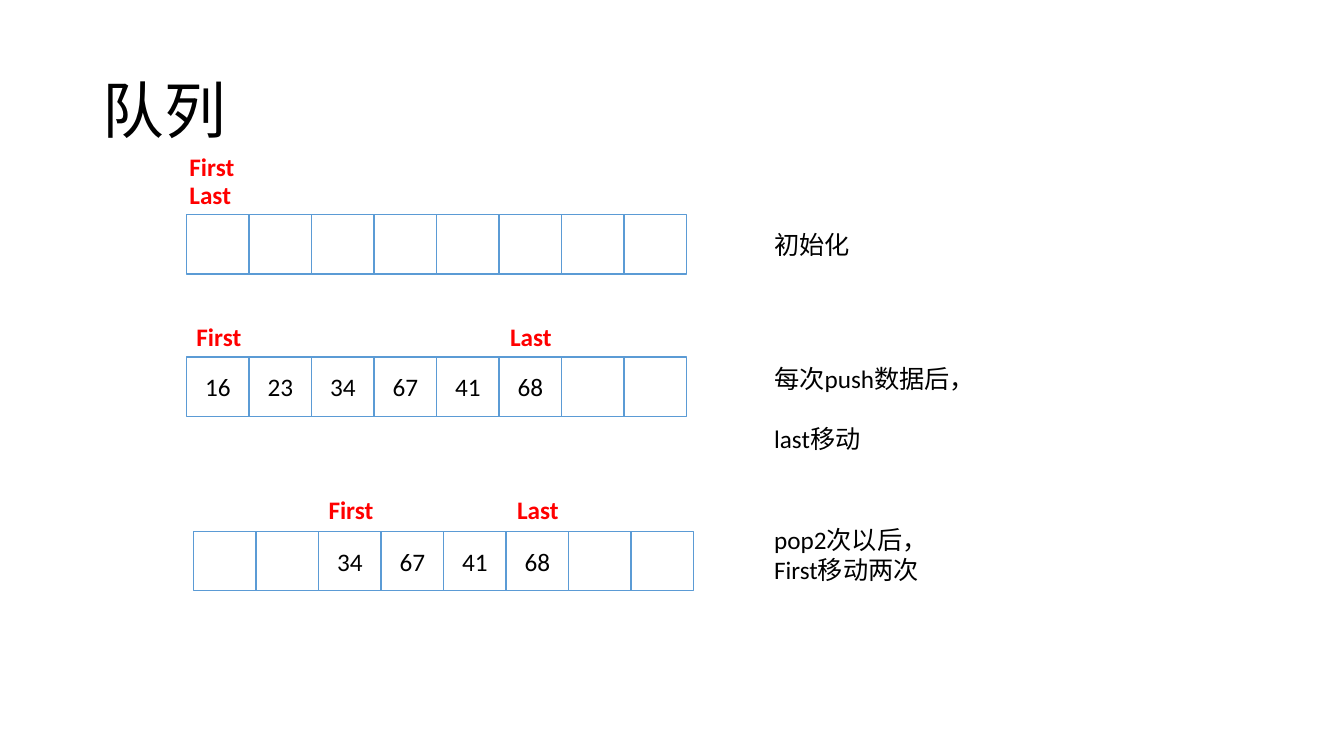
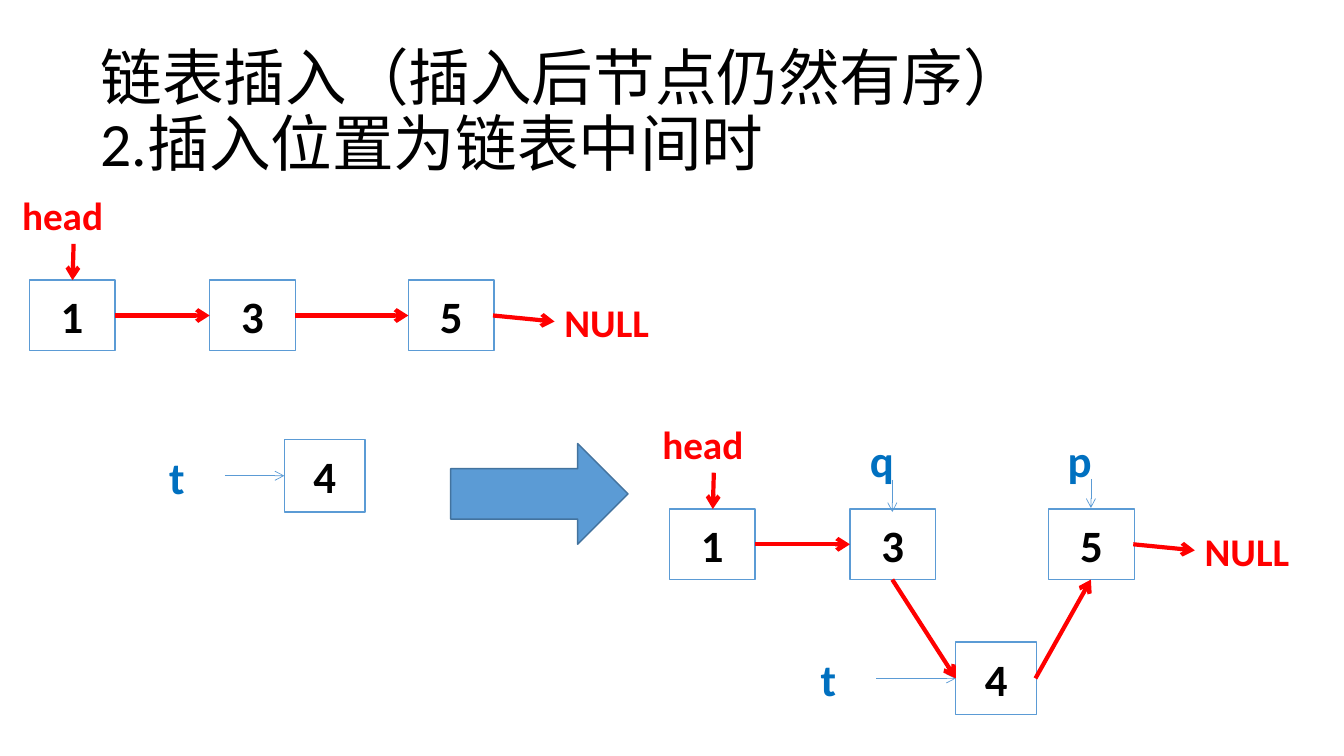
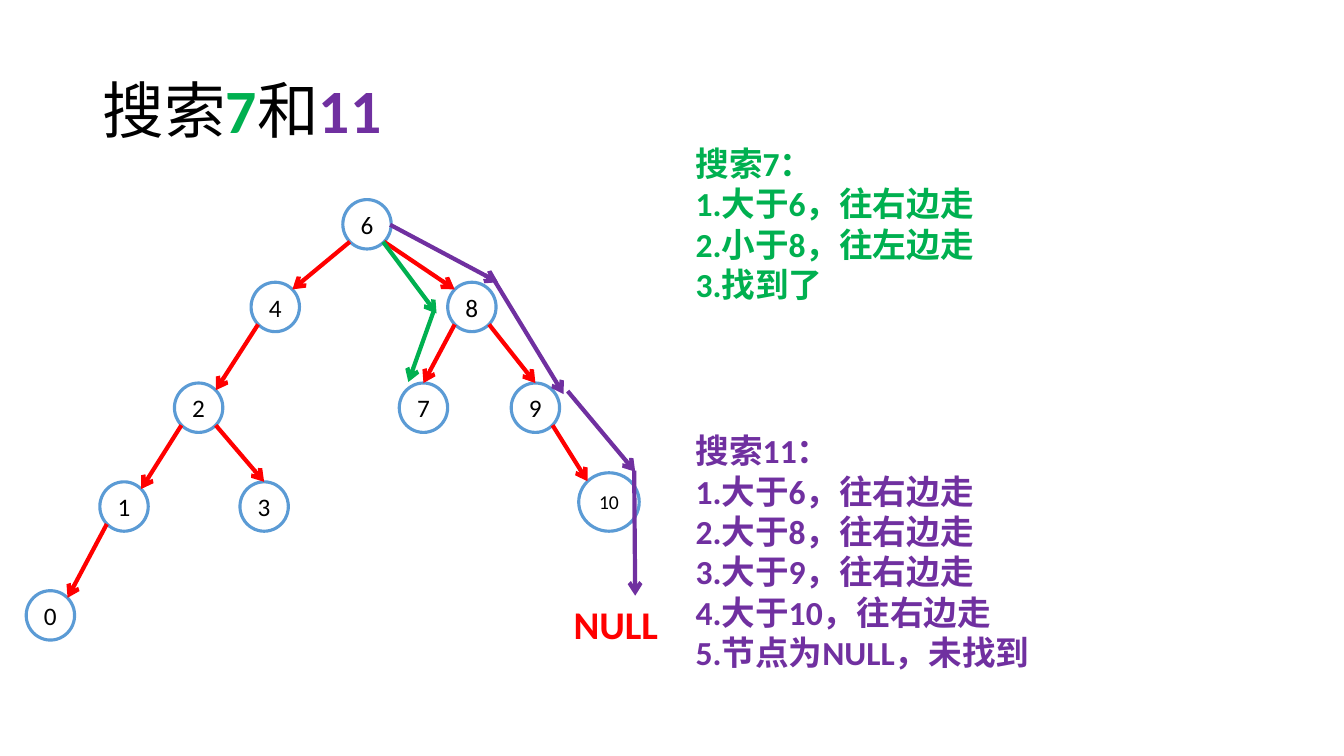
"""Three slides on queues, linked-list insertion and binary search trees."""
from pptx import Presentation
from pptx.dml.color import RGBColor
from pptx.enum.shapes import MSO_CONNECTOR, MSO_SHAPE
from pptx.enum.text import MSO_ANCHOR, MSO_AUTO_SIZE, PP_ALIGN
from pptx.oxml.ns import qn
from pptx.util import Inches, Pt
from lxml import etree

BLACK = RGBColor(0x00, 0x00, 0x00)
WHITE = RGBColor(0xFF, 0xFF, 0xFF)
RED = RGBColor(0xFF, 0x00, 0x00)
GREEN = RGBColor(0x00, 0xB0, 0x50)
PURPLE = RGBColor(0x70, 0x30, 0xA0)
LABEL_BLUE = RGBColor(0x00, 0x70, 0xC0)
BLUE = RGBColor(0x5B, 0x9B, 0xD5)
DARK_BLUE = RGBColor(0x43, 0x73, 0x9E)
FONT = "Calibri"
STRAIGHT = MSO_CONNECTOR.STRAIGHT
RECT, OVAL, RIGHT_ARROW = MSO_SHAPE.RECTANGLE, MSO_SHAPE.OVAL, MSO_SHAPE.RIGHT_ARROW
TOP, MIDDLE = MSO_ANCHOR.TOP, MSO_ANCHOR.MIDDLE
LEFT, CENTER = PP_ALIGN.LEFT, PP_ALIGN.CENTER
GROW = MSO_AUTO_SIZE.SHAPE_TO_FIT_TEXT

DIAGONAL = 0.71
NW, NE = (-DIAGONAL, -DIAGONAL), (DIAGONAL, -DIAGONAL)
SW, SE = (-DIAGONAL, DIAGONAL), (DIAGONAL, DIAGONAL)
NORTH = (0, -1)


def write(tf, paragraphs, size=18, color=BLACK, bold=False, align=LEFT,
          anchor=TOP, spacing=1.0):
    tf.word_wrap = True
    tf.vertical_anchor = anchor
    for i, runs in enumerate(paragraphs):
        p = tf.add_paragraph() if i else tf.paragraphs[0]
        p.alignment = align
        p.line_spacing = spacing
        if isinstance(runs, str):
            runs = [(runs, color, bold)]
        for text, run_color, run_bold in runs:
            for j, line in enumerate(text.split("\n")):
                if j:
                    p.add_line_break()
                r = p.add_run()
                r.text = line
                r.font.name = FONT
                r.font.size = Pt(size)
                r.font.color.rgb = run_color
                r.font.bold = run_bold


class Deck:
    def __init__(self):
        self.prs = Presentation()
        self.prs.slide_width = Inches(13.33)
        self.prs.slide_height = Inches(7.5)
        self.s = None

    def slide(self, title, left=0.92):
        self.s = self.prs.slides.add_slide(self.prs.slide_layouts[6])
        sp = self.s.shapes.add_textbox(Inches(left), Inches(0.4), Inches(11.5), Inches(1.45))
        write(sp.text_frame, [title], size=44, anchor=MIDDLE, spacing=0.9)

    def text(self, left, top, width, height, *paragraphs, **style):
        sp = self.s.shapes.add_textbox(Inches(left), Inches(top), Inches(width), Inches(height))
        write(sp.text_frame, paragraphs, **style)
        sp.text_frame.auto_size = GROW

    def shape(self, kind, left, top, width, height, text="", fill=WHITE,
              line=BLUE, weight=1, **style):
        sp = self.s.shapes.add_shape(kind, Inches(left), Inches(top), Inches(width), Inches(height))
        sp.shadow.inherit = False
        sp.fill.solid()
        sp.fill.fore_color.rgb = fill
        sp.line.color.rgb = line
        sp.line.width = Pt(weight)
        if text:
            write(sp.text_frame, [text], align=CENTER, anchor=MIDDLE, **style)

    def arrow(self, x1, y1, x2, y2, color=RED, weight=3):
        c = self.s.shapes.add_connector(STRAIGHT, Inches(x1), Inches(y1), Inches(x2), Inches(y2))
        c.line.color.rgb = color
        c.line.width = Pt(weight)
        etree.SubElement(c.line._get_or_add_ln(), qn("a:tailEnd"), type="arrow")
        etree.SubElement(c._element.spPr, qn("a:effectLst"))

    def thin_arrow(self, x1, y1, x2, y2):
        self.arrow(x1, y1, x2, y2, color=BLUE, weight=0.5)

    def queue(self, left, top, values):
        for i, value in enumerate(values):
            self.shape(RECT, left + i * 0.62, top, 0.62, 0.59, value)

    def marker(self, left, top, text):
        self.text(left, top, 0.69, 0.4, text, color=RED, bold=True)

    def end_label(self, left, top, text):
        self.text(left, top, 1.22, 0.57, text, size=28, color=RED, bold=True)

    def pointer(self, left, top, text):
        self.text(left, top, 0.65, 0.64, text, size=32, color=LABEL_BLUE, bold=True)

    def linked_list(self, left, top, linked):
        offsets = (0, 1.79, 3.76)
        middle = top + 0.35
        for offset, value in zip(offsets, "135"):
            self.shape(RECT, left + offset, top, 0.85, 0.7, value, size=32, bold=True)
        for start, end in list(zip(offsets, offsets[1:]))[:linked]:
            self.arrow(left + start + 0.85, middle, left + end, middle)
        self.end_label(left - 0.17, top - 0.93, "head")
        self.arrow(left + 0.44, top - 0.36, left + 0.43, top)
        self.end_label(left + 5.21, top + 0.13, "NULL")
        self.arrow(left + 4.6, middle, left + 5.21, middle + 0.06)

    def new_node(self, left, top, label_left):
        self.shape(RECT, left, top, 0.8, 0.72, "4", size=32, bold=True)
        self.pointer(label_left, top + 0.05, "t")
        self.thin_arrow(label_left + 0.65, top + 0.36, left, top + 0.36)

    def tree(self, nodes, edges):
        for value, (left, top, width, height, size) in nodes.items():
            self.shape(OVAL, left, top, width, height, value, weight=2.25, size=size)
        for parent, leave, child, enter in edges:
            ends = []
            for value, (dx, dy) in ((parent, leave), (child, enter)):
                left, top, width, height, _ = nodes[value]
                ends += [left + width / 2 * (1 + dx), top + height / 2 * (1 + dy)]
            self.arrow(*ends)


def queue_slide(deck):
    deck.slide("队列")
    deck.queue(1.85, 2.13, [""] * 8)
    deck.queue(1.85, 3.54, ["16", "23", "34", "67", "41", "68", "", ""])
    deck.queue(1.92, 5.27, ["", "", "34", "67", "41", "68", "", ""])
    for left, top, text in ((1.78, 1.45, "First"), (1.78, 1.73, "Last"),
                            (1.85, 3.14, "First"), (4.96, 3.14, "Last"),
                            (3.16, 4.86, "First"), (5.03, 4.86, "Last")):
        deck.marker(left, top, text)
    deck.text(7.58, 2.23, 1.51, 0.4, "初始化")
    deck.text(7.58, 3.55, 1.99, 0.71, "每次push数据后，\nlast移动")
    deck.text(7.58, 5.15, 1.99, 0.71, "pop2次以后，\nFirst移动两次")


def insertion_slide(deck):
    deck.slide("链表插入（插入后节点仍然有序）\n2.插入位置为链表中间时", left=0.9)
    deck.linked_list(0.29, 2.78, linked=2)
    deck.new_node(2.82, 4.36, label_left=1.58)
    deck.shape(RIGHT_ARROW, 4.47, 4.4, 1.76, 1, fill=BLUE, line=DARK_BLUE)
    deck.linked_list(6.64, 5.05, linked=1)
    deck.new_node(9.48, 6.37, label_left=8.04)
    deck.arrow(8.85, 5.75, 9.48, 6.73)
    deck.arrow(10.27, 6.73, 10.82, 5.75)
    deck.pointer(8.53, 4.24, "q")
    deck.thin_arrow(8.85, 4.76, 8.85, 5.08)
    deck.pointer(10.49, 4.24, "p")
    deck.thin_arrow(10.82, 4.75, 10.82, 5.04)


def search_slide(deck):
    deck.slide([("搜索", BLACK, False), ("7", GREEN, True),
                ("和", BLACK, False), ("11", PURPLE, True)])
    places = {"6": (3.4, 1.98), "4": (2.49, 2.8), "8": (4.44, 2.8),
              "2": (1.73, 3.8), "7": (3.96, 3.8), "9": (5.07, 3.8),
              "1": (0.99, 4.78), "3": (2.38, 4.78), "0": (0.26, 5.86)}
    nodes = {value: (*place, 0.48, 0.49, 18) for value, place in places.items()}
    nodes["10"] = (5.74, 4.69, 0.6, 0.58, 14)
    deck.tree(nodes, [
        ("6", SW, "4", NE), ("4", SW, "2", NE), ("2", SW, "1", NE),
        ("1", SW, "0", NE), ("2", SE, "3", NORTH), ("8", SE, "9", NORTH),
        ("8", SW, "7", NORTH), ("9", SE, "10", NW), ("6", SE, "8", NW)])
    deck.text(6.8, 1.37, 3.99, 1.72, "搜索7：",
              "1.大于6，往右边走\n2.小于8，往左边走\n3.找到了",
              size=24, color=GREEN, bold=True)
    deck.text(6.8, 4.22, 3.99, 2.52, "搜索11：",
              "1.大于6，往右边走\n2.大于8，往右边走\n3.大于9，往右边走\n"
              "4.大于10，往右边走\n5.节点为NULL，未找到",
              size=24, color=PURPLE, bold=True)
    for step in ((3.8, 2.4, 4.33, 3.11), (4.3, 3.09, 4.05, 3.79)):
        deck.arrow(*step, color=GREEN)
    for step in ((3.87, 2.23, 4.94, 2.8), (4.89, 2.76, 5.59, 3.91),
                 (5.63, 3.88, 6.3, 4.68), (6.29, 4.67, 6.3, 5.91)):
        deck.arrow(*step, color=PURPLE)
    deck.end_label(5.59, 5.91, "NULL")


def main():
    deck = Deck()
    queue_slide(deck)
    insertion_slide(deck)
    search_slide(deck)
    deck.prs.save("out.pptx")


if __name__ == "__main__":
    main()
